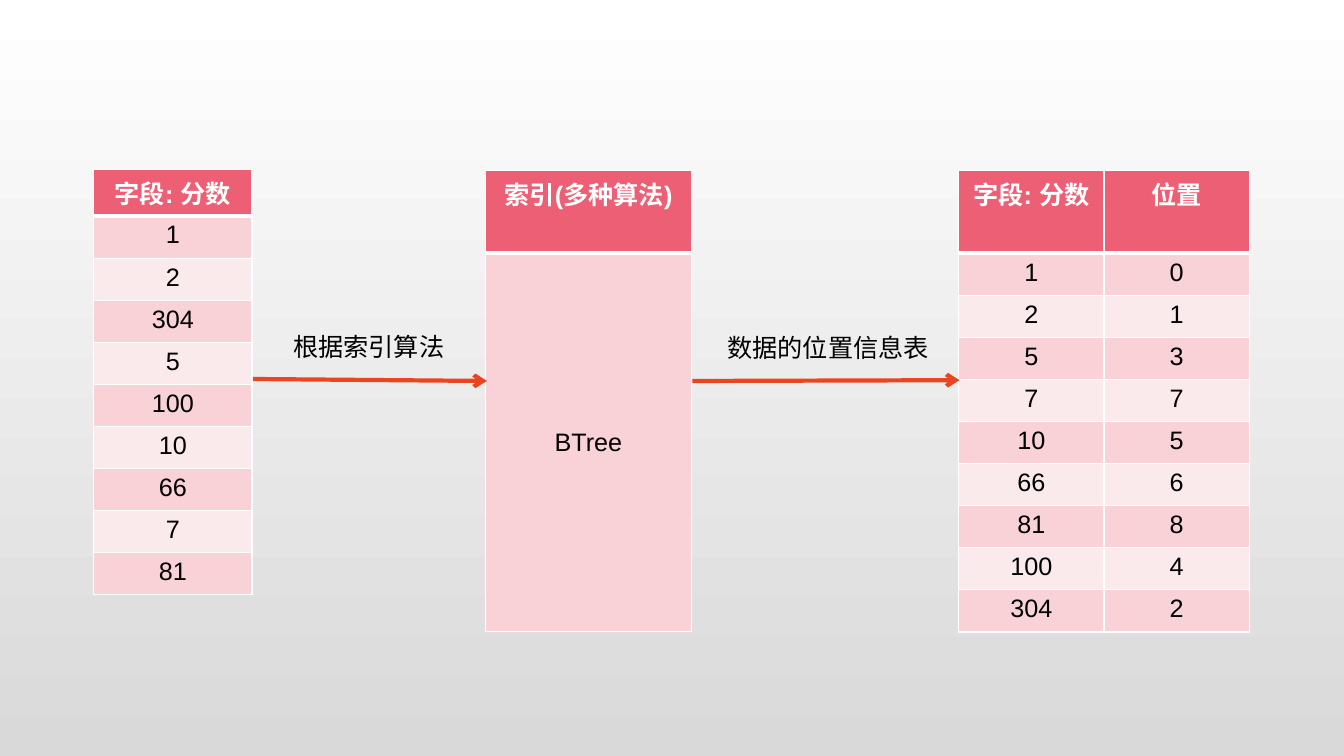
from dataclasses import dataclass

from lxml import etree
from pptx import Presentation
from pptx.dml.color import RGBColor
from pptx.enum.shapes import MSO_CONNECTOR
from pptx.enum.text import MSO_ANCHOR, MSO_AUTO_SIZE, PP_ALIGN
from pptx.oxml.ns import qn
from pptx.slide import Slide
from pptx.table import _Cell
from pptx.text.text import _Run
from pptx.util import Cm, Pt

STRAIGHT = MSO_CONNECTOR.STRAIGHT
TOP, MIDDLE = MSO_ANCHOR.TOP, MSO_ANCHOR.MIDDLE
CENTER = PP_ALIGN.CENTER
FIT_SHAPE = MSO_AUTO_SIZE.SHAPE_TO_FIT_TEXT
BLANK_LAYOUT = 6
DOWNWARD = 270


@dataclass(frozen=True)
class Theme:
    font: str = "Arial"
    text_size: float = 18
    text: str = "000000"
    header_text: str = "FFFFFF"
    header_fill: str = "EC5F74"
    bands: tuple[str, str] = ("F8D2D6", "FBEAEB")
    border: str = "FFFFFF"
    thin: float = 1
    thick: float = 3
    arrow: str = "E94520"
    arrow_width: float = 3
    background: tuple[str, str] = ("FFFFFF", "D9D9D9")


@dataclass(frozen=True)
class DataTable:
    left: float
    top: float
    column_width: float
    rows: list[tuple[str, ...]]
    body_height: float = 1.06
    body_anchor: MSO_ANCHOR = TOP


@dataclass(frozen=True)
class Arrow:
    start: tuple[float, float]
    end: tuple[float, float]


@dataclass(frozen=True)
class Label:
    text: str
    left: float
    top: float
    width: float


THEME = Theme()
HEADER_HEIGHT = 1.06
LABEL_HEIGHT = 1.02
SCORE_HEADER = "字段: 分数"

SCORES = ["1", "2", "304", "5", "100", "10", "66", "7", "81"]
SORTED_SCORES = sorted(SCORES, key=int)
POSITIONS = [str(SCORES.index(score)) for score in SORTED_SCORES]

TABLES = [
    DataTable(2.36, 4.27, 3.99, [(SCORE_HEADER,), *((score,) for score in SCORES)]),
    DataTable(12.24, 4.29, 5.18, [("索引(多种算法)",), ("BTree",)], 9.53, MIDDLE),
    DataTable(24.16, 4.29, 3.66,
              [(SCORE_HEADER, "位置"), *zip(SORTED_SCORES, POSITIONS)]),
]
ARROWS = [
    Arrow((17.45, 9.6), (24.18, 9.58)),
    Arrow((6.38, 9.55), (12.27, 9.6)),
]
LABELS = [
    Label("根据索引算法", 7.14, 8.23, 4.32),
    Label("数据的位置信息表", 18.08, 8.26, 5.59),
]


def rgb(value: str) -> RGBColor:
    return RGBColor.from_string(value)


def format_run(run: _Run, color: str, bold: bool = False) -> None:
    values = {"name": THEME.font, "size": Pt(THEME.text_size), "bold": bold}
    for attribute, value in values.items():
        setattr(run.font, attribute, value)
    run.font.color.rgb = rgb(color)


def set_borders(cell: _Cell, top: float, bottom: float) -> None:
    """Put the four border lines ahead of the fill, as the schema requires."""
    properties = cell._tc.get_or_add_tcPr()
    widths = {"a:lnL": THEME.thin, "a:lnR": THEME.thin, "a:lnT": top, "a:lnB": bottom}
    for index, (tag, width) in enumerate(widths.items()):
        line = etree.Element(qn(tag), w=str(Pt(width)))
        fill = etree.SubElement(line, qn("a:solidFill"))
        etree.SubElement(fill, qn("a:srgbClr"), val=THEME.border)
        properties.insert(index, line)


def fill_cell(cell: _Cell, text: str, row: int, anchor: MSO_ANCHOR) -> None:
    is_header = row == 0
    cell.fill.solid()
    cell.fill.fore_color.rgb = rgb(
        THEME.header_fill if is_header else THEME.bands[(row - 1) % 2])
    cell.vertical_anchor = TOP if is_header else anchor
    paragraph = cell.text_frame.paragraphs[0]
    paragraph.alignment = CENTER
    run = paragraph.add_run()
    run.text = text
    format_run(run, THEME.header_text if is_header else THEME.text, is_header)
    set_borders(cell,
                top=THEME.thick if row == 1 else THEME.thin,
                bottom=THEME.thick if is_header else THEME.thin)


def draw_table(slide: Slide, data: DataTable) -> None:
    row_count, column_count = len(data.rows), len(data.rows[0])
    height = HEADER_HEIGHT + (row_count - 1) * data.body_height
    table = slide.shapes.add_table(
        row_count, column_count, Cm(data.left), Cm(data.top),
        Cm(column_count * data.column_width), Cm(height)).table
    for column in table.columns:
        column.width = Cm(data.column_width)
    for row, texts in enumerate(data.rows):
        table.rows[row].height = Cm(data.body_height if row else HEADER_HEIGHT)
        for column, text in enumerate(texts):
            fill_cell(table.cell(row, column), text, row, data.body_anchor)


def draw_arrow(slide: Slide, arrow: Arrow) -> None:
    connector = slide.shapes.add_connector(
        STRAIGHT, *(Cm(value) for value in arrow.start + arrow.end))
    connector.line.color.rgb = rgb(THEME.arrow)
    connector.line.width = Pt(THEME.arrow_width)
    etree.SubElement(connector.line._get_or_add_ln(), qn("a:tailEnd"), type="arrow")
    etree.SubElement(connector._element.spPr, qn("a:effectLst"))


def draw_label(slide: Slide, label: Label) -> None:
    frame = slide.shapes.add_textbox(
        Cm(label.left), Cm(label.top), Cm(label.width), Cm(LABEL_HEIGHT)).text_frame
    frame.word_wrap = False
    frame.auto_size = FIT_SHAPE
    run = frame.paragraphs[0].add_run()
    run.text = label.text
    format_run(run, THEME.text)


def paint_background(slide: Slide) -> None:
    fill = slide.background.fill
    fill.gradient()
    fill.gradient_angle = DOWNWARD
    for stop, color in zip(fill.gradient_stops, THEME.background):
        stop.color.rgb = rgb(color)


def main() -> None:
    presentation = Presentation()
    presentation.slide_width, presentation.slide_height = Cm(33.87), Cm(19.05)
    slide = presentation.slides.add_slide(presentation.slide_layouts[BLANK_LAYOUT])
    paint_background(slide)
    for data in TABLES:
        draw_table(slide, data)
    for arrow in ARROWS:
        draw_arrow(slide, arrow)
    for label in LABELS:
        draw_label(slide, label)
    presentation.save("out.pptx")


if __name__ == "__main__":
    main()
